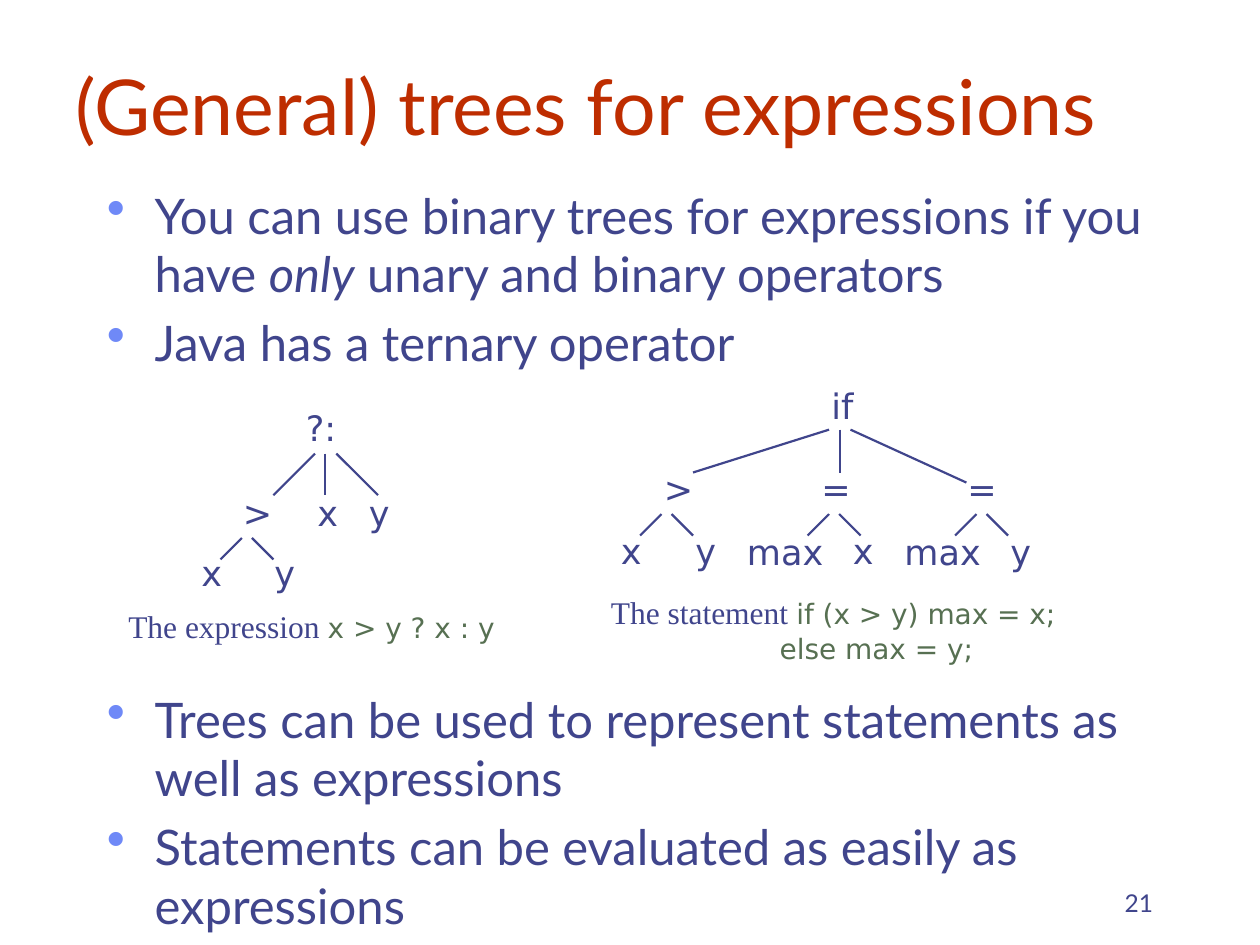
from pptx import Presentation
from pptx.dml.color import RGBColor
from pptx.enum.shapes import MSO_CONNECTOR
from pptx.enum.text import MSO_ANCHOR, PP_ALIGN
from pptx.oxml.ns import qn
from pptx.util import Inches, Pt
from lxml import etree

STRAIGHT = MSO_CONNECTOR.STRAIGHT
BOTTOM = MSO_ANCHOR.BOTTOM
RIGHT = PP_ALIGN.RIGHT
COLORS = {"ink": "40458C", "title": "BE2D00", "code": "577052", "bullet": "6F89F7"}
LATO, SERIF, SANS = "Lato", "Times New Roman", "DejaVu Sans"

prs = Presentation()
prs.slide_width, prs.slide_height = Inches(10), Inches(7.5)
slide = prs.slides.add_slide(prs.slide_layouts[6])


def add_frame(left, top, width, height):
    frame = slide.shapes.add_textbox(
        Inches(left), Inches(top), Inches(width), Inches(height)).text_frame
    frame.word_wrap = True
    return frame


def add_run(paragraph, text, size, font, color="ink", italic=False):
    run = paragraph.add_run()
    run.text = text
    run.font.size = Pt(size)
    run.font.name = font
    run.font.italic = italic
    run.font.color.rgb = RGBColor.from_string(COLORS[color])


page_number = add_frame(7.17, 6.83, 2.08, 0.5)
page_number.vertical_anchor = BOTTOM
page_number.paragraphs[0].alignment = RIGHT
add_run(page_number.paragraphs[0], "21", 14, LATO)

title = add_frame(0.5, 0, 9.33, 1.25)
title.vertical_anchor = BOTTOM
add_run(title.paragraphs[0], "(General) trees for expressions", 44, LATO, "title")

bullet_lists = [
    (1.42, 1.74, [
        [("You can use binary trees for expressions if you have ", False),
         ("only", True), (" unary and binary operators", False)],
        [("Java has a ternary operator", False)]]),
    (5.42, 1.42, [
        [("Trees can be used to represent statements as well as expressions", False)],
        [("Statements can be evaluated as easily as expressions", False)]]),
]
for top, height, points in bullet_lists:
    body = add_frame(0.75, top, 8.5, height)
    for index, point in enumerate(points):
        paragraph = body.add_paragraph() if index else body.paragraphs[0]
        paragraph.space_before = Pt(5.6)
        props = paragraph._p.get_or_add_pPr()
        props.set("marL", str(Inches(0.38)))
        props.set("indent", str(Inches(-0.38)))
        bullet_color = etree.SubElement(props, qn("a:buClr"))
        etree.SubElement(bullet_color, qn("a:srgbClr"), val=COLORS["bullet"])
        etree.SubElement(props, qn("a:buSzPct"), val="110000")
        etree.SubElement(props, qn("a:buChar"), char="•")
        for text, italic in point:
            add_run(paragraph, text, 28, LATO, italic=italic)

expression = add_frame(0.92, 4.77, 3.33, 0.4).paragraphs[0]
add_run(expression, "The expression ", 18, SERIF)
add_run(expression, "x > y ? x : y", 16, SANS, "code")

statement = add_frame(4.75, 4.66, 4, 0.67)
add_run(statement.paragraphs[0], "The statement ", 18, SERIF)
add_run(statement.paragraphs[0], "if (x > y) max = x;", 16, SANS, "code")
else_line = statement.add_paragraph()
else_line._p.get_or_add_pPr().set("marL", str(Inches(1.34)))
add_run(else_line, "else max = y;", 16, SANS, "code")

nodes = [
    ("?:", 2.33, 3.18), (">", 1.83, 3.85), ("x", 2.42, 3.85), ("y", 2.83, 3.85),
    ("x", 1.5, 4.33), ("y", 2.08, 4.33),
    ("if", 6.5, 3), (">", 5.17, 3.66), ("=", 6.42, 3.66), ("=", 7.58, 3.66),
    ("x", 4.83, 4.15), ("y", 5.42, 4.15), ("max", 5.83, 4.16), ("x", 6.67, 4.15),
    ("max", 7.08, 4.16), ("y", 7.92, 4.16),
]
for label, left, top in nodes:
    width = 0.83 if label == "max" else 0.5
    add_run(add_frame(left, top, width, 0.43).paragraphs[0], label, 20, SANS)

branches = [
    (2.5, 3.6, 2.17, 3.93), (2.58, 3.6, 2.58, 3.93), (2.67, 3.6, 3, 3.93),
    (6.58, 3.41, 5.5, 3.75), (6.67, 3.41, 6.67, 3.75), (6.75, 3.41, 7.67, 3.83),
]
for left, top in [(1.92, 4.27), (5.25, 4.08), (6.58, 4.08), (7.75, 4.08)]:
    branches.append((left, top, left - 0.17, top + 0.17))
    branches.append((left + 0.08, top, left + 0.25, top + 0.17))
for x1, y1, x2, y2 in branches:
    branch = slide.shapes.add_connector(
        STRAIGHT, Inches(x1), Inches(y1), Inches(x2), Inches(y2))
    branch.line.color.rgb = RGBColor.from_string(COLORS["ink"])
    branch.line.width = Pt(1.25)
    etree.SubElement(branch._element.spPr, qn("a:effectLst"))

prs.save("out.pptx")
